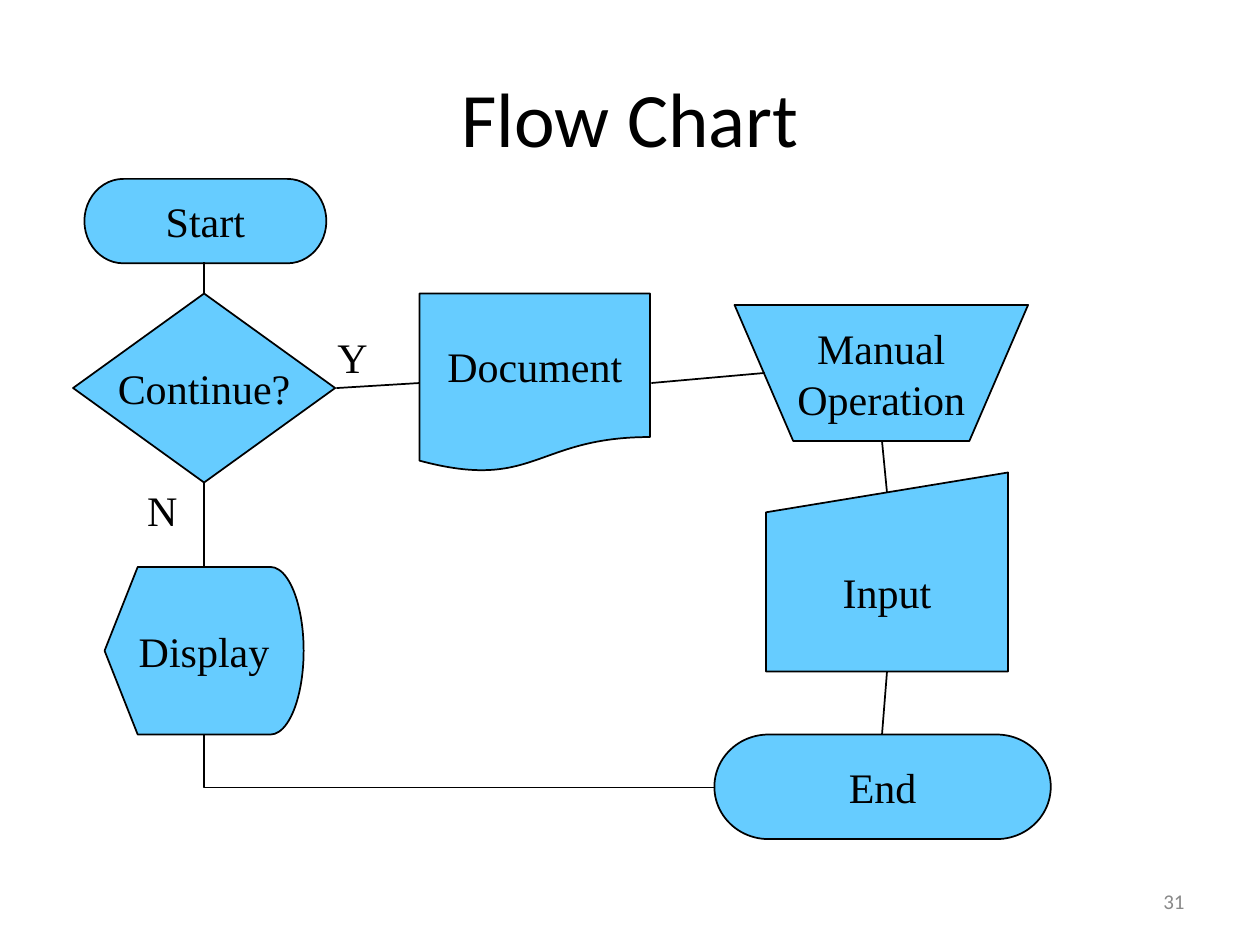
from dataclasses import dataclass

import pptx
import pptx.dml.color
import pptx.enum.shapes
import pptx.enum.text
import pptx.oxml.xmlchemy
import pptx.util
from pptx.util import Inches

SHAPE = pptx.enum.shapes.MSO_SHAPE
CONNECTOR = pptx.enum.shapes.MSO_CONNECTOR
ALIGN = pptx.enum.text.PP_ALIGN
ANCHOR = pptx.enum.text.MSO_ANCHOR
AUTO_SIZE = pptx.enum.text.MSO_AUTO_SIZE

BLACK, GREY, SKY = "000000", "898989", "66CCFF"
SANS, SERIF = "Calibri", "Times New Roman"


@dataclass
class Style:
    size: int = 24
    font: str = SERIF
    color: str = BLACK
    align: ALIGN = ALIGN.CENTER
    anchor: ANCHOR = ANCHOR.MIDDLE
    wrap: bool = False
    auto_size: AUTO_SIZE = AUTO_SIZE.NONE


@dataclass
class Label:
    text: str
    area: tuple
    style: Style


@dataclass
class Step:
    text: str
    kind: SHAPE
    area: tuple


@dataclass
class Link:
    start: tuple
    end: tuple


def rgb(code: str) -> pptx.dml.color.RGBColor:
    return pptx.dml.color.RGBColor.from_string(code)


def set_all(target, values: dict) -> None:
    for name, value in values.items():
        setattr(target, name, value)


def write(box, text: str, style: Style) -> None:
    frame = box.text_frame
    set_all(frame, {"word_wrap": style.wrap, "auto_size": style.auto_size,
                    "vertical_anchor": style.anchor})
    for index, line in enumerate(text.split("\n")):
        para = frame.add_paragraph() if index else frame.paragraphs[0]
        para.alignment = style.align
        span = para.add_run()
        span.text = line
        set_all(span.font, {"name": style.font, "size": pptx.util.Pt(style.size)})
        span.font.color.rgb = rgb(style.color)


def draw_outline(item) -> None:
    item.line.color.rgb = rgb(BLACK)
    item.line.width = pptx.util.Pt(1)


def draw_label(page, label: Label) -> None:
    box = page.shapes.add_textbox(*map(Inches, label.area))
    write(box, label.text, label.style)


def draw_step(page, step: Step) -> None:
    box = page.shapes.add_shape(step.kind, *map(Inches, step.area))
    box.shadow.inherit = False
    box.fill.solid()
    box.fill.fore_color.rgb = rgb(SKY)
    draw_outline(box)
    write(box, step.text, Style())


def draw_link(page, link: Link, kind: CONNECTOR = CONNECTOR.STRAIGHT):
    connector = page.shapes.add_connector(kind, *map(Inches, link.start + link.end))
    draw_outline(connector)
    properties = connector._element.spPr
    properties.append(properties.makeelement(pptx.oxml.ns.qn("a:effectLst"), {}))
    return connector


def draw_corner_link(page, link: Link) -> None:
    """Run down from the start, then across to the end, with one bend."""
    connector = draw_link(page, link, CONNECTOR.ELBOW)
    across, down = link.end[0] - link.start[0], link.end[1] - link.start[1]
    middle_x, middle_y = link.start[0] + across / 2, link.start[1] + down / 2
    set_all(connector, {"left": Inches(middle_x - down / 2),
                        "top": Inches(middle_y - across / 2),
                        "width": Inches(down), "height": Inches(across)})
    properties = connector._element.spPr
    properties.prstGeom.set("prst", "bentConnector2")
    properties.xfrm.set("rot", str(270 * 60000))
    properties.xfrm.set("flipH", "1")


TITLE = Style(size=44, font=SANS, wrap=True)
NUMBER = Style(size=12, font=SANS, color=GREY, align=ALIGN.RIGHT, wrap=True)
BRANCH = Style(align=ALIGN.LEFT, anchor=ANCHOR.TOP, auto_size=AUTO_SIZE.SHAPE_TO_FIT_TEXT)

LABELS = [
    Label("Flow Chart", (0.5, 0.3, 9, 1.25), TITLE),
    Label("31", (7.17, 6.95, 2.33, 0.4), NUMBER),
    Label("Y", (2.58, 2.58, 0.44, 0.5), BRANCH),
    Label("N", (1.07, 3.8, 0.44, 0.5), BRANCH),
]
STEPS = [
    Step("Start", SHAPE.FLOWCHART_TERMINATOR, (0.67, 1.42, 1.92, 0.67)),
    Step("Continue?", SHAPE.FLOWCHART_DECISION, (0.58, 2.33, 2.08, 1.5)),
    Step("Document", SHAPE.FLOWCHART_DOCUMENT, (3.33, 2.33, 1.83, 1.42)),
    Step("Input", SHAPE.FLOWCHART_MANUAL_INPUT, (6.08, 3.75, 1.92, 1.58)),
    Step("Display", SHAPE.FLOWCHART_DISPLAY, (0.83, 4.5, 1.58, 1.33)),
    Step("Manual\nOperation", SHAPE.FLOWCHART_MANUAL_OPERATION, (5.83, 2.42, 2.33, 1.08)),
    Step("End", SHAPE.FLOWCHART_TERMINATOR, (5.67, 5.83, 2.67, 0.83)),
]
LINKS = [
    Link((1.62, 2.08), (1.62, 2.33)),
    Link((2.67, 3.08), (3.33, 3.04)),
    Link((1.62, 3.83), (1.62, 4.5)),
    Link((5.17, 3.04), (6.07, 2.96)),
    Link((7, 3.5), (7.04, 3.91)),
    Link((7.04, 5.33), (7, 5.83)),
]


def main() -> None:
    deck = pptx.Presentation()
    set_all(deck, {"slide_width": Inches(10), "slide_height": Inches(7.5)})
    page = deck.slides.add_slide(deck.slide_layouts[6])

    # Flow steps
    for step in STEPS:
        draw_step(page, step)

    # Links between the steps
    for link in LINKS:
        draw_link(page, link)
    draw_corner_link(page, Link((1.62, 5.83), (5.67, 6.25)))

    # Title, page number and branch labels
    for label in LABELS:
        draw_label(page, label)

    deck.save("out.pptx")


if __name__ == "__main__":
    main()
